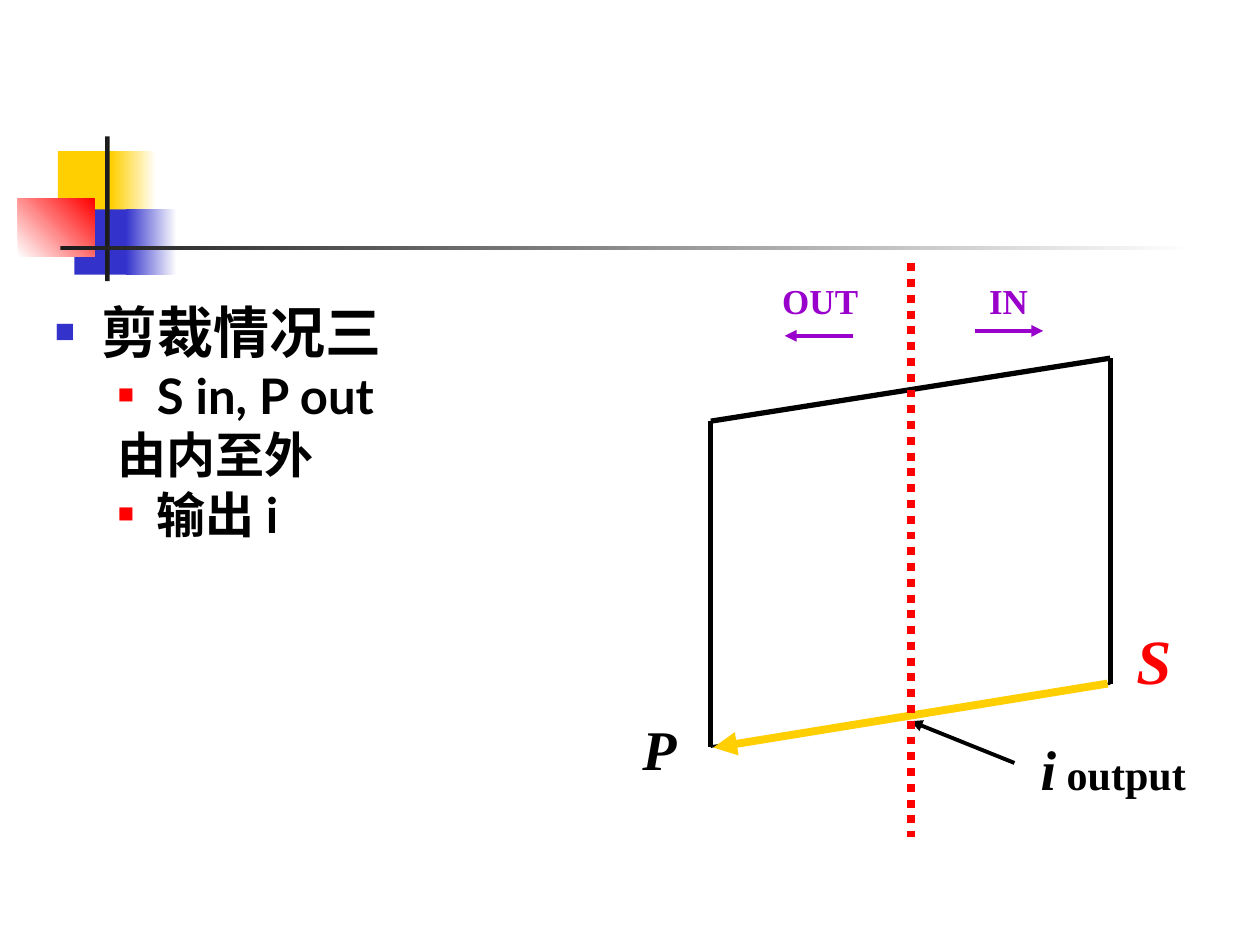
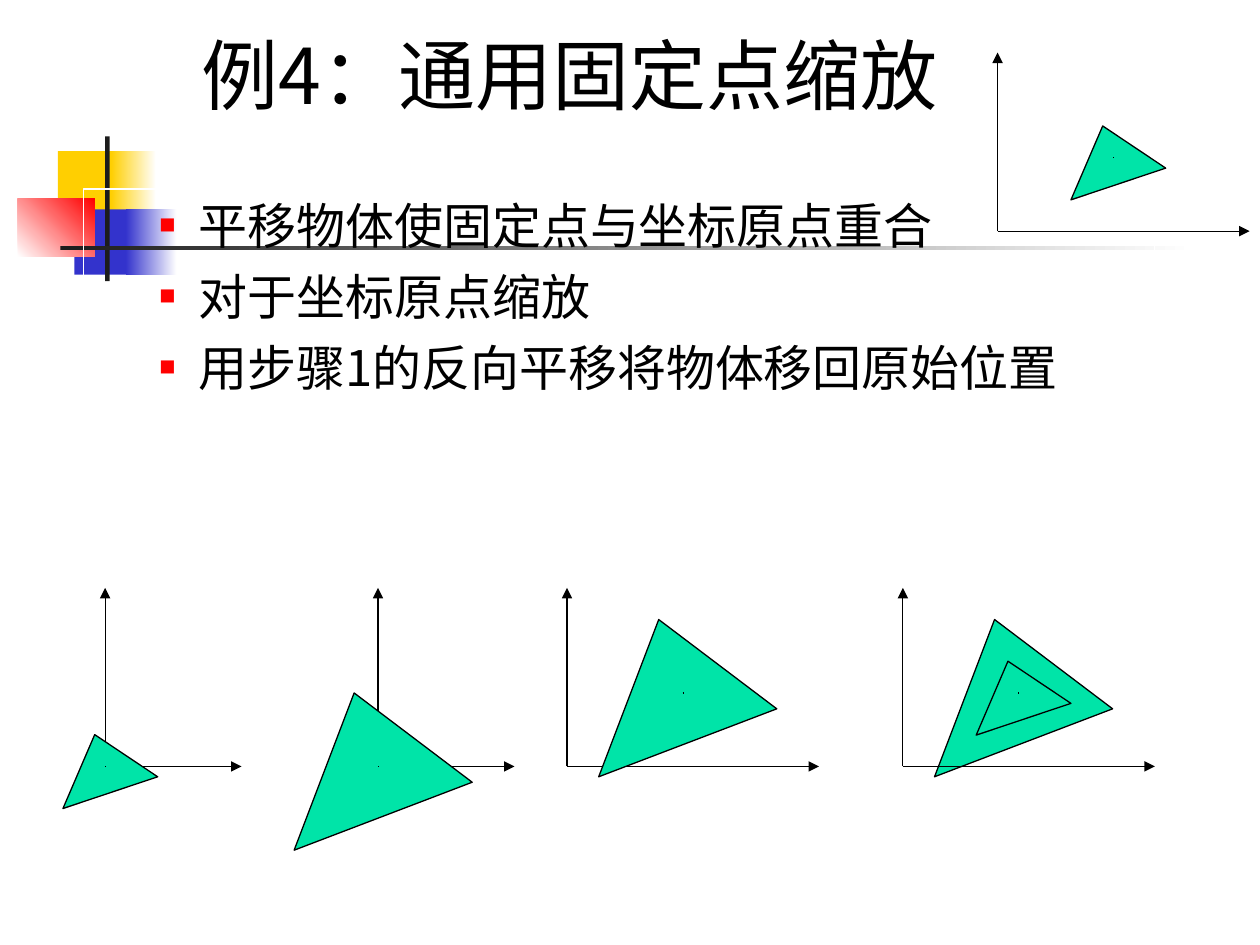
from dataclasses import dataclass

from lxml import etree
from pptx import Presentation
from pptx.dml.color import RGBColor
from pptx.enum.dml import MSO_LINE
from pptx.enum.shapes import MSO_CONNECTOR, MSO_SHAPE
from pptx.enum.text import MSO_ANCHOR, MSO_AUTO_SIZE, PP_ALIGN
from pptx.oxml.ns import qn
from pptx.util import Cm, Pt

RECTANGLE = MSO_SHAPE.RECTANGLE
STRAIGHT = MSO_CONNECTOR.STRAIGHT
DOTTED = MSO_LINE.ROUND_DOT
BOTTOM, TOP = MSO_ANCHOR.BOTTOM, MSO_ANCHOR.TOP
LEFT, JUSTIFY = PP_ALIGN.LEFT, PP_ALIGN.JUSTIFY
NO_FIT, GROW = MSO_AUTO_SIZE.NONE, MSO_AUTO_SIZE.SHAPE_TO_FIT_TEXT


@dataclass(frozen=True)
class Theme:
    black: str = "000000"
    white: str = "FFFFFF"
    charcoal: str = "1C1C1C"
    yellow: str = "FFCF01"
    blue: str = "3333CC"
    red: str = "FF0000"
    purple: str = "9900CC"
    green: str = "00E4A8"
    latin: str = "Lato"
    chinese: str = "Noto Sans CJK SC"
    serif: str = "Times New Roman"
    title_size: int = 44
    heading_size: int = 32
    item_size: int = 28
    point_size: int = 36
    note_size: int = 24
    side_size: int = 20
    thin: float = 0.75


THEME = Theme()


def rgb(color):
    return RGBColor.from_string(color)


# ---- Shared drawing helpers ----

def add_line(slide, box, start, end, color, width, arrow=False, dash=None):
    """Draw a straight line between two points given in cm from the box corner."""
    left, top = box
    line = slide.shapes.add_connector(
        STRAIGHT, Cm(left + start[0]), Cm(top + start[1]),
        Cm(left + end[0]), Cm(top + end[1]))
    line.line.color.rgb = rgb(color)
    line.line.width = Pt(width)
    if dash:
        line.line.dash_style = dash
    if arrow:
        etree.SubElement(line.line._get_or_add_ln(), qn("a:tailEnd"), type="triangle")
    etree.SubElement(line._element.spPr, qn("a:effectLst"))


def add_run(paragraph, text, size, font, color=THEME.black, bold=False, italic=False):
    run = paragraph.add_run()
    run.text = text
    run.font.size = Pt(size)
    run.font.bold = bold
    run.font.italic = italic
    run.font.color.rgb = rgb(color)
    run.font.name = font
    etree.SubElement(run._r.get_or_add_rPr(), qn("a:ea"), typeface=THEME.chinese)


def set_bullet(paragraph, color, percent, margin, hanging):
    """Set the indents and a square bullet; no colour means no bullet."""
    properties = paragraph._p.get_or_add_pPr()
    properties.set("marL", str(Cm(margin)))
    properties.set("indent", str(-Cm(hanging)))
    if color is None:
        etree.SubElement(properties, qn("a:buNone"))
        return
    bullet_color = etree.SubElement(properties, qn("a:buClr"))
    etree.SubElement(bullet_color, qn("a:srgbClr"), val=color)
    etree.SubElement(properties, qn("a:buSzPct"), val=str(percent * 1000))
    etree.SubElement(properties, qn("a:buFont"), typeface=THEME.serif)
    etree.SubElement(properties, qn("a:buChar"), char="■")


def place(placeholder, left, top, width, height, anchor):
    placeholder.left, placeholder.top = Cm(left), Cm(top)
    placeholder.width, placeholder.height = Cm(width), Cm(height)
    frame = placeholder.text_frame
    frame.auto_size = NO_FIT
    frame.word_wrap = True
    frame.vertical_anchor = anchor
    return frame


def fill_list(frame, items, font, bold=False, align=LEFT, spacing=1.0):
    """Write (text, level, has bullet) items into the body."""
    for index, (text, level, has_bullet) in enumerate(items):
        paragraph = frame.paragraphs[0] if index == 0 else frame.add_paragraph()
        paragraph.level = level
        paragraph.alignment = align
        paragraph.line_spacing = spacing
        paragraph.space_before = Pt(7 if index else 0)
        if level == 0:
            set_bullet(paragraph, THEME.blue, 60, 0.95, 0.95)
            size = THEME.heading_size
        else:
            set_bullet(paragraph, THEME.red if has_bullet else None, 55, 2.06, 0.79)
            size = THEME.item_size
        add_run(paragraph, text, size, font, bold=bold)


# ---- Master: coloured blocks and cross lines ----

def decorate_master(prs, slide):
    """Draw the blocks on a slide, then move them to the master for all slides."""
    blocks = [
        # left, top, width, height, first colour, last colour, angle
        (1.17, 3.05, 1.22, 1.32, THEME.yellow, None, 0),
        (2.24, 3.05, 0.91, 1.32, THEME.yellow, THEME.white, 0),
        (1.5, 4.22, 1.17, 1.32, THEME.blue, None, 0),
        (2.54, 4.22, 1.02, 1.32, THEME.blue, THEME.white, 0),
        (0.36, 4.01, 1.55, 1.17, THEME.white, THEME.red, 45),
        (2.12, 2.75, 0.09, 2.92, THEME.charcoal, None, 0),
        (1.22, 4.95, 22.86, 0.09, THEME.charcoal, THEME.white, 0),
    ]
    master_tree = prs.slide_master.shapes.element
    for number, (left, top, width, height, first, last, angle) in enumerate(blocks):
        block = slide.shapes.add_shape(
            RECTANGLE, Cm(left), Cm(top), Cm(width), Cm(height))
        block.shadow.inherit = False
        block.line.fill.background()
        if last is None:
            block.fill.solid()
            block.fill.fore_color.rgb = rgb(first)
        else:
            block.fill.gradient()
            block.fill.gradient_angle = angle
            for stop, color in zip(block.fill.gradient_stops, (first, last)):
                stop.color.rgb = rgb(color)
        block._element.nvSpPr.cNvPr.set("id", str(100 + number))
        master_tree.append(block._element)


# ---- Slide 1: clipping case three ----

def add_label(slide, box, left, top, width, height, runs):
    label = slide.shapes.add_textbox(
        Cm(box[0] + left), Cm(box[1] + top), Cm(width), Cm(height))
    label.text_frame.word_wrap = False
    label.text_frame.auto_size = GROW
    for text, size, color, italic in runs:
        add_run(label.text_frame.paragraphs[0], text, size, THEME.serif,
                color, bold=True, italic=italic)


def draw_clipping(slide, box):
    upper_left, lower_left = (1.63, 3.18), (1.63, 9.74)
    upper_right, lower_right = (9.68, 1.91), (9.68, 8.47)
    # Polygon, with the edge S to P on top
    for start, end, width in (
            (upper_left, lower_left, 3), (upper_left, upper_right, 3),
            (lower_left, lower_right, 1.5), (upper_right, lower_right, 3)):
        add_line(slide, box, start, end, THEME.black, width)
    add_line(slide, box, (9.63, 8.47), (1.68, 9.76), THEME.yellow, 4.5, arrow=True)

    # Side, vertex and output labels
    side, heading = THEME.side_size, THEME.heading_size
    add_label(slide, box, 6.99, 0.2, 1.32, 1.12, [("IN", side, THEME.purple, False)])
    add_label(slide, box, 2.82, 0.2, 2.1, 1.12, [("OUT", side, THEME.purple, False)])
    add_label(slide, box, 9.96, 7.1, 1.22, 1.78,
              [("S", THEME.point_size, THEME.red, True)])
    add_label(slide, box, 8.03, 9.38, 3.45, 1.63,
              [("i", heading, THEME.black, True),
               (" output", THEME.note_size, THEME.black, False)])
    add_label(slide, box, 0, 8.97, 1.2, 1.63, [("P", heading, THEME.black, True)])

    # Intersection pointer, clipping boundary and side arrows
    add_line(slide, box, (7.75, 10.07), (5.66, 9.23), THEME.black, 2.25, arrow=True)
    add_line(slide, box, (5.66, 0), (5.66, 11.56), THEME.red, 4.5, dash=DOTTED)
    add_line(slide, box, (4.5, 1.46), (3.12, 1.46), THEME.purple, 2.25, arrow=True)
    add_line(slide, box, (6.96, 1.36), (8.33, 1.36), THEME.purple, 2.25, arrow=True)


def build_clipping_slide(slide):
    title = slide.shapes.title
    title._element.getparent().remove(title._element)
    frame = place(slide.placeholders[1], 0.85, 6.14, 10.58, 7.2, TOP)
    fill_list(frame, [
        ("剪裁情况三", 0, True),
        ("S in, P out", 1, True),
        ("由内至外", 1, False),
        ("输出 i", 1, True),
    ], THEME.latin, bold=True, spacing=0.8)
    draw_clipping(slide, (12.7, 5.31))


# ---- Slide 2: scaling about a fixed point ----

# Corners in cm from the fixed point
SMALL = [(-0.85, 0.85), (1.06, 0.21), (-0.21, -0.64)]
LARGE = [(-1.69, 1.69), (1.9, 0.32), (-0.48, -1.48)]
AT_ORIGIN, AWAY = (0, 0), (2.33, -1.48)


def add_triangle(slide, center, corners):
    points = [(Cm(center[0] + x), Cm(center[1] + y)) for x, y in corners]
    outline = slide.shapes.build_freeform(*points[0], scale=1.0)
    outline.add_line_segments(points[1:], close=True)
    triangle = outline.convert_to_shape()
    triangle.shadow.inherit = False
    triangle.fill.solid()
    triangle.fill.fore_color.rgb = rgb(THEME.green)
    triangle.line.color.rgb = rgb(THEME.black)
    triangle.line.width = Pt(THEME.thin)


def draw_stage(slide, origin, axis_length, fixed_point, front, behind=None):
    """Draw axes with a triangle in front and, if given, one behind them."""
    center = (origin[0] + fixed_point[0], origin[1] + fixed_point[1])
    if behind:
        add_triangle(slide, center, behind)
    for tip in ((axis_length, 0), (0, -3.6)):
        add_line(slide, origin, (0, 0), tip, THEME.black, THEME.thin, arrow=True)
    add_triangle(slide, center, front)
    add_line(slide, center, (0, 0), (0.01, 0), THEME.black, THEME.thin)


def build_scaling_slide(slide):
    title, body = slide.shapes.title, slide.placeholders[1]
    for placeholder in (title, body):
        placeholder.line.color.rgb = rgb(THEME.white)
        placeholder.line.width = Pt(THEME.thin)

    heading = place(title, 3.81, 0.64, 19.69, 1.9, BOTTOM).paragraphs[0]
    heading.alignment = LEFT
    add_run(heading, "例4：通用固定点缩放", THEME.title_size, THEME.chinese)

    steps = ["平移物体使固定点与坐标原点重合", "对于坐标原点缩放",
             "用步骤1的反向平移将物体移回原始位置"]
    frame = place(body, 1.69, 3.81, 21.59, 4.45, TOP)
    fill_list(frame, [(step, 1, True) for step in steps], THEME.chinese, align=JUSTIFY)

    # Start position, then the stages along the bottom
    draw_stage(slide, (20.11, 4.66), 5.08, AWAY, SMALL)
    base = 15.45
    draw_stage(slide, (2.12, base), 2.75, AT_ORIGIN, SMALL)
    draw_stage(slide, (7.62, base), 2.75, AT_ORIGIN, LARGE)
    draw_stage(slide, (11.43, base), 5.08, AWAY, LARGE)
    draw_stage(slide, (18.2, base), 5.08, AWAY, SMALL, behind=LARGE)


def main():
    prs = Presentation()
    prs.slide_width, prs.slide_height = Cm(25.4), Cm(19.05)
    layout = prs.slide_layouts[1]
    clipping, scaling = (prs.slides.add_slide(layout) for _ in range(2))
    decorate_master(prs, clipping)
    build_clipping_slide(clipping)
    build_scaling_slide(scaling)
    prs.save("out.pptx")


if __name__ == "__main__":
    main()
